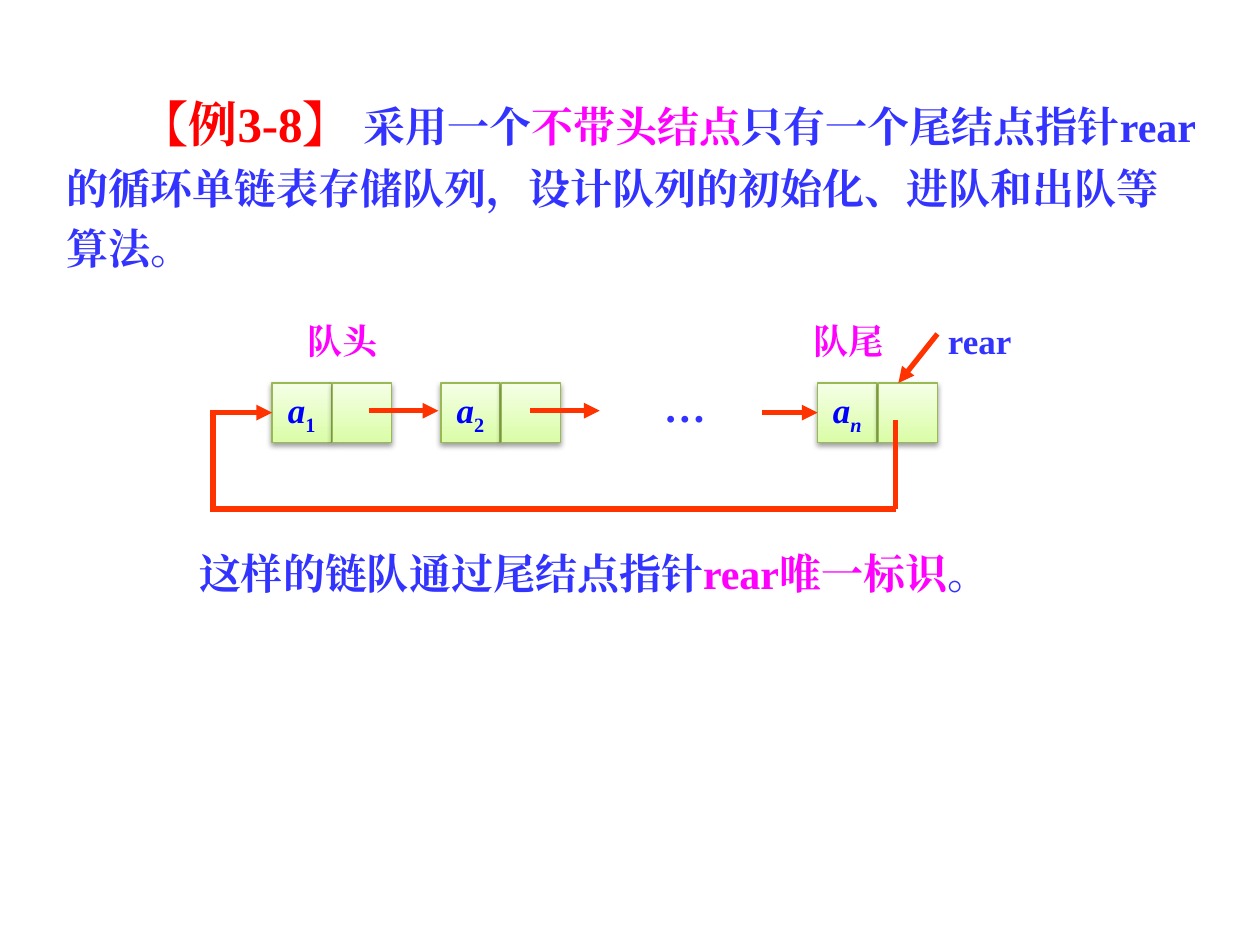
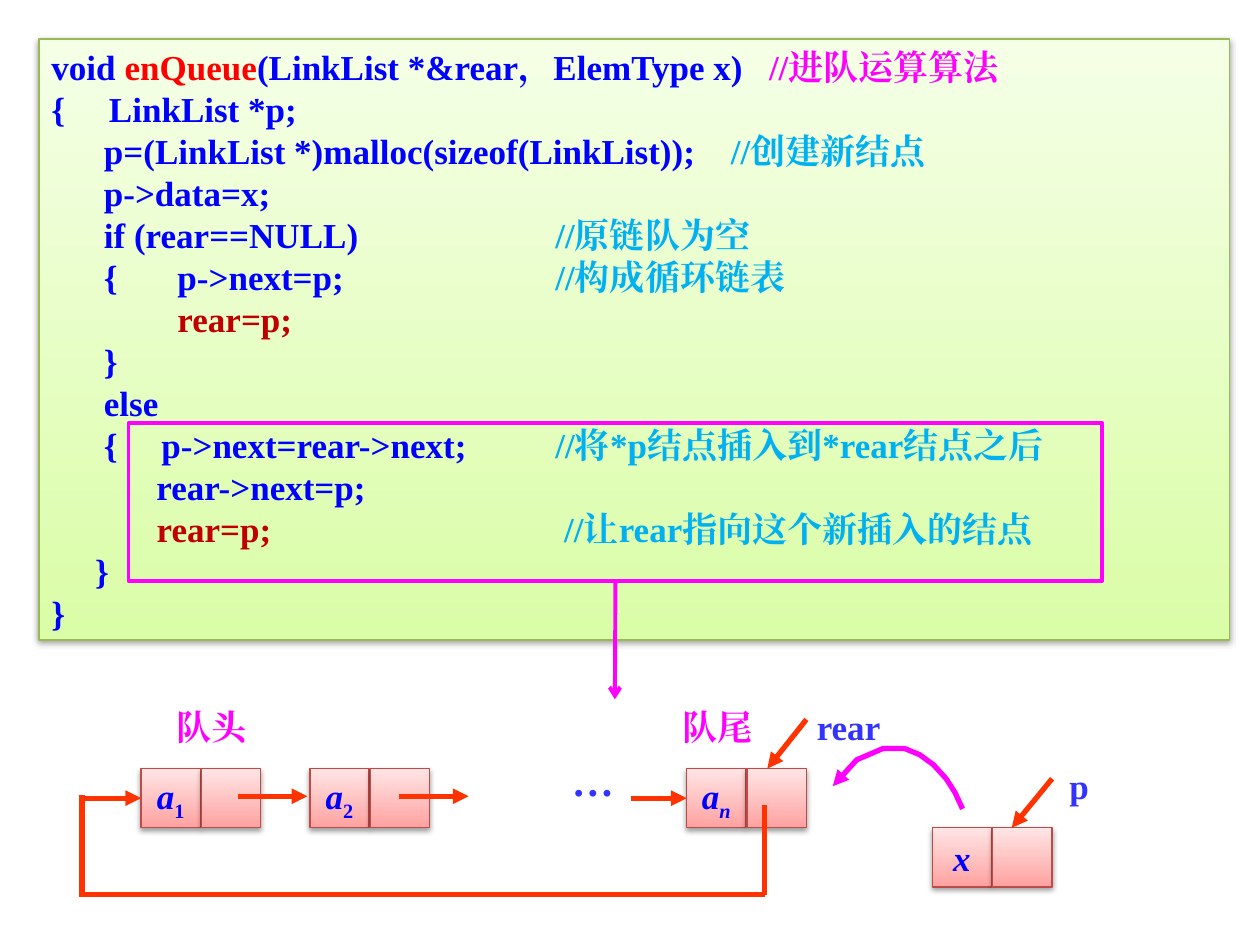
from lxml.etree import SubElement
from pptx import Presentation
from pptx.dml.color import RGBColor
from pptx.enum.shapes import MSO_CONNECTOR, MSO_SHAPE
from pptx.enum.text import MSO_ANCHOR, PP_ALIGN
from pptx.oxml.ns import qn
from pptx.util import Inches, Pt

COLOURS = {
    "text": "3333FF", "code": "0000FF", "accent": "FF00FF", "red": "FF0000",
    "dark_red": "C00000", "comment": "00B0F0", "arrow": "FF3300", "shadow": "000000",
    "green_dark": "DAFDA7", "green_light": "F5FFE6", "green_line": "98B954",
    "pink_dark": "FFA2A1", "pink_light": "FFE5E5", "pink_line": "BE4B48",
}
SERIF = "Times New Roman"
SANS = "Noto Sans CJK SC"
CELL = 0.47        # side of one cell of a list node
CELL_STEP = 0.48   # distance from the data cell to the pointer cell


def colour(name):
    return RGBColor.from_string(COLOURS[name])


class Painter:
    """Holds the shared style and the current slide."""

    def __init__(self):
        self.deck = Presentation()
        self.deck.slide_width = Inches(10)
        self.deck.slide_height = Inches(7.5)
        self.page = None

    def new_page(self):
        self.page = self.deck.slides.add_slide(self.deck.slide_layouts[6])

    # Text
    def span(self, para, text, tint, size=20, italic=False, subscript=False, font=SERIF):
        span = para.add_run()
        span.text = text
        span.font.size = Pt(size)
        span.font.name = font
        span.font.bold = True
        span.font.italic = italic
        span.font.color.rgb = colour(tint)
        properties = span.font._element
        SubElement(properties, qn("a:ea")).set("typeface", SERIF)
        if subscript:
            properties.set("baseline", "-25000")

    def text(self, left, top, width, height, spans, align=PP_ALIGN.CENTER):
        """Add a text box; each span is (text, colour, size)."""
        box = self.page.shapes.add_textbox(
            Inches(left), Inches(top), Inches(width), Inches(height))
        box.text_frame.word_wrap = True
        para = box.text_frame.paragraphs[0]
        para.alignment = align
        for text, tint, size in spans:
            self.span(para, text, tint, size)
        return para

    def label(self, text, left, top, width=0.95, tint="accent", font=SERIF):
        para = self.text(left, top, width, 0.44, [])
        self.span(para, text, tint, font=font)

    # Boxes
    def rectangle(self, left, top, width, height):
        box = self.page.shapes.add_shape(
            MSO_SHAPE.RECTANGLE, Inches(left), Inches(top), Inches(width), Inches(height))
        box.shadow.inherit = False
        return box

    def panel(self, left, top, width, height, theme):
        """Add a rectangle with a vertical gradient and a soft shadow."""
        box = self.rectangle(left, top, width, height)
        box.fill.gradient()
        box.fill.gradient_angle = 90
        for stop, shade in zip(box.fill.gradient_stops, ("dark", "light")):
            stop.color.rgb = colour(f"{theme}_{shade}")
        box.line.color.rgb = colour(f"{theme}_line")
        box.line.width = Pt(0.75)
        effects = box._element.spPr.find(qn("a:effectLst"))
        shadow = SubElement(effects, qn("a:outerShdw"), blurRad="40000", dist="20000",
                            dir="5400000", rotWithShape="0")
        tint = SubElement(shadow, qn("a:srgbClr"), val=COLOURS["shadow"])
        SubElement(tint, qn("a:alpha"), val="38000")
        return box

    def frame(self, left, top, width, height, tint):
        box = self.rectangle(left, top, width, height)
        box.fill.background()
        box.line.color.rgb = colour(tint)
        box.line.width = Pt(2.25)
        return box

    def node(self, left, top, theme, name, index=""):
        """Add a data cell and a pointer cell; return the data cell."""
        data = self.panel(left, top, CELL, CELL, theme)
        self.panel(left + CELL_STEP, top, CELL, CELL, theme)
        frame = data.text_frame
        frame.word_wrap = False
        frame.vertical_anchor = MSO_ANCHOR.MIDDLE
        para = frame.paragraphs[0]
        para.alignment = PP_ALIGN.CENTER
        self.span(para, name, "code", italic=True)
        if index:
            self.span(para, index, "code", italic=index.isalpha(), subscript=True)
        return data

    def code(self, left, top, width, height, lines):
        box = self.panel(left, top, width, height, "green")
        frame = box.text_frame
        frame.word_wrap = True
        frame.vertical_anchor = MSO_ANCHOR.TOP
        for number, line in enumerate(lines):
            para = frame.add_paragraph() if number else frame.paragraphs[0]
            para.alignment = PP_ALIGN.LEFT
            para.line_spacing = Pt(24)
            tabs = SubElement(para._p.get_or_add_pPr(), qn("a:tabLst"))
            for stop in range(1, 8):
                SubElement(tabs, qn("a:tab"), pos=str(Inches(stop)), algn="l")
            for text, tint in line:
                self.span(para, text, tint)

    # Lines
    def stroke(self, shape, tint, width, head):
        shape.line.color.rgb = colour(tint)
        shape.line.width = Pt(width)
        if head:
            SubElement(shape.line._get_or_add_ln(), qn("a:tailEnd"), type=head)

    def line(self, start, end, head=None, tint="arrow", width=3, source=None, target=None):
        """Add a line; source and target are (shape, side) to join."""
        line = self.page.shapes.add_connector(
            MSO_CONNECTOR.STRAIGHT, *map(Inches, start + end))
        if source:
            line.begin_connect(*source)
        if target:
            line.end_connect(*target)
        self.stroke(line, tint, width, head)
        SubElement(line._element.spPr, qn("a:effectLst"))

    def arrow(self, start, end, **options):
        self.line(start, end, head="triangle", **options)

    def curve(self, points, tint):
        points = [(Inches(x), Inches(y)) for x, y in points]
        builder = self.page.shapes.build_freeform(*points[0])
        builder.add_line_segments(points[1:], close=False)
        shape = builder.convert_to_shape()
        shape.shadow.inherit = False
        shape.fill.background()
        self.stroke(shape, tint, 3, "triangle")

    # Circular linked list
    def ring(self, left, top, theme, dots, label_font=SERIF):
        """Draw the list with its first node at left, top; dots is the ellipsis offset."""
        def at(x, y):
            return left + x, top + y

        first = self.node(*at(0, 0), theme, "a", "1")
        self.node(*at(1.34, 0), theme, "a", "2")
        last = self.node(*at(4.33, 0), theme, "a", "n")
        middle = CELL / 2
        for x in (0.77, 2.05):
            self.arrow(at(x, 0.22), at(x + 0.55, 0.22))
        self.arrow(at(3.89, middle), at(4.33, middle), target=(last, 1))
        self.text(*at(*dots), 0.87, 0.5, [("…", "text", 24)])

        # Way back from the last node to the first
        self.line(at(4.95, 0.29), at(4.95, 1))
        self.line(at(-0.49, 1), at(4.95, 1))
        self.line(at(-0.47, 0.21), at(-0.47, 1.01))
        self.arrow(at(-0.47, middle), at(0, middle), target=(first, 1))

        # Labels and the rear pointer
        self.label("队头", *at(0.08, -0.55), font=label_font)
        self.label("队尾", *at(4.1, -0.55), font=label_font)
        self.label("rear", *at(5.18, -0.55), width=0.87, tint="text")
        self.arrow(at(5.28, -0.39), at(4.97, 0))


CODE_LINES = [
    [("void ", "code"), ("enQueue", "red"),
     ("(LinkList *&rear，ElemType x)   ", "code"), ("//进队运算算法", "accent")],
    [("{     LinkList *p;", "code")],
    [("      p=(LinkList *)malloc(sizeof(LinkList));    ", "code"),
     ("//创建新结点", "comment")],
    [("      p->data=x;", "code")],
    [("      if (rear==NULL)\t\t", "code"), ("//原链队为空", "comment")],
    [("      {\tp->next=p;\t\t", "code"), ("//构成循环链表", "comment")],
    [("\t", "code"), ("rear=p;", "dark_red")],
    [("      }", "code")],
    [("      else", "code")],
    [("      {     p->next=rear->next;\t", "code"),
     ("//将*p结点插入到*rear结点之后", "comment")],
    [("            rear->next=p;", "code")],
    [("            ", "code"), ("rear=p;\t\t\t ", "dark_red"),
     ("//让rear指向这个新插入的结点", "comment")],
    [("     }", "code")],
    [("}", "code")],
]


def example_page(painter):
    painter.new_page()
    para = painter.text(0.43, 0.6, 9.18, 1.62, [
        ("【例3-8】 ", "red", 28),
        ("采用一个", "text", 24),
        ("不带头结点", "accent", 24),
        ("只有一个尾结点指针rear的循环单链表存储队列，设计队列的初始化、进队和出队等算法。",
         "text", 24),
    ], align=PP_ALIGN.LEFT)
    para.line_spacing = 1.2
    para._p.get_or_add_pPr().set("indent", str(Inches(0.58)))
    painter.ring(2.16, 3.04, "green", dots=(2.84, -0.07))
    painter.text(1.17, 4.3, 7.09, 0.5, [
        ("这样的链队通过尾结点指针", "text", 24),
        ("rear唯一标识", "accent", 24),
        ("。", "text", 24),
    ])


def enqueue_page(painter):
    painter.new_page()
    painter.code(0.31, 0.31, 9.45, 4.77, CODE_LINES)
    painter.ring(1.12, 6.1, "pink", dots=(3.15, -0.16), label_font=SANS)

    # New node and its insertion
    painter.label("p", 8.33, 6.02, width=0.47, tint="text")
    painter.node(7.4, 6.57, "pink", "x")
    painter.arrow((8.35, 6.18), (8.03, 6.57))
    painter.curve([(7.64, 6.42), (7.58, 6.29), (7.51, 6.18), (7.41, 6.07), (7.3, 5.99),
                   (7.18, 5.94), (7.01, 5.94), (6.8, 6.03), (6.61, 6.24)], "accent")

    # Highlighted statements
    highlight = painter.frame(1.02, 3.36, 7.73, 1.25, "accent")
    painter.line((4.88, 4.61), (4.88, 5.55), head="arrow", tint="accent", width=2.25,
                 source=(highlight, 2))


def main():
    painter = Painter()
    example_page(painter)
    enqueue_page(painter)
    painter.deck.save("out.pptx")


if __name__ == "__main__":
    main()
